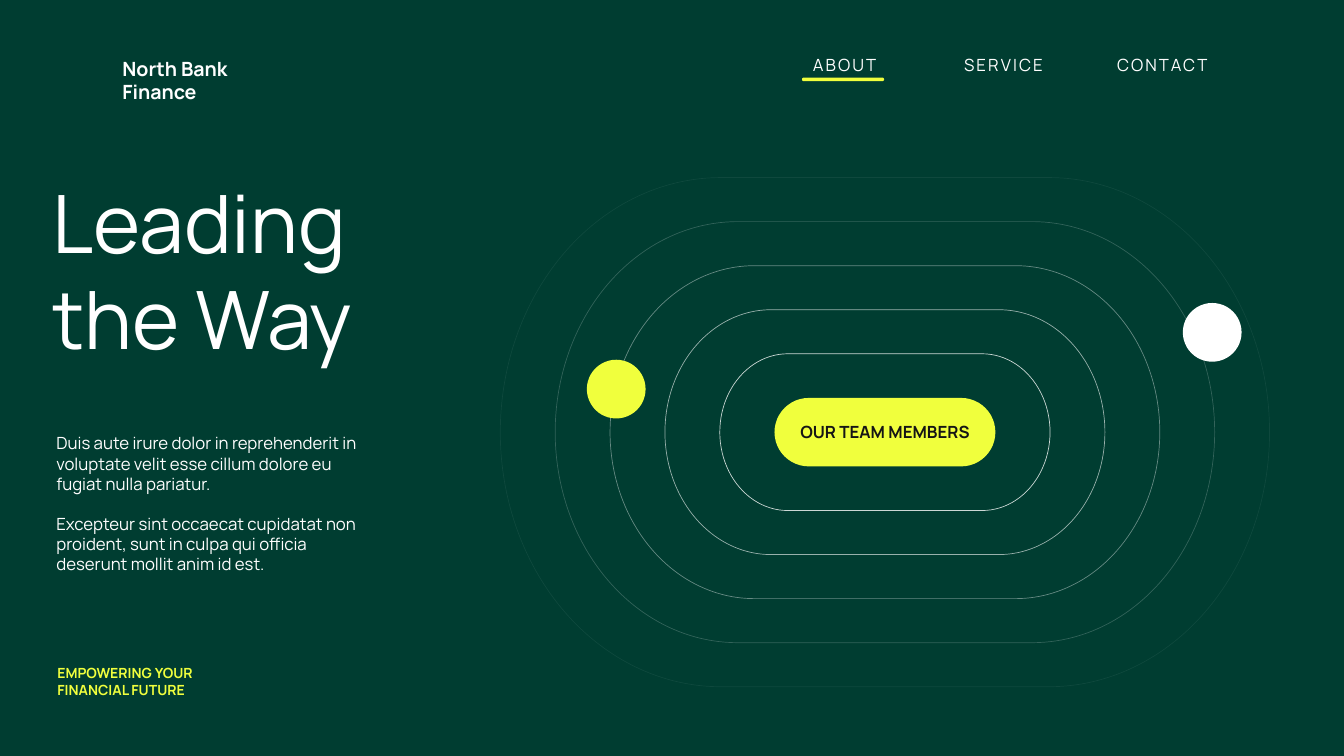
from dataclasses import dataclass

from lxml import etree
from pptx import Presentation
from pptx.dml.color import RGBColor
from pptx.enum import shapes, text
from pptx.oxml import ns
from pptx.util import Cm, Pt


@dataclass(frozen=True)
class Theme:
    """Colours, font and type sizes of the slide."""
    green: RGBColor = RGBColor(0x00, 0x3D, 0x31)
    lime: RGBColor = RGBColor(0xF0, 0xFF, 0x3D)
    white: RGBColor = RGBColor(0xFF, 0xFF, 0xFF)
    ink: RGBColor = RGBColor(0x15, 0x15, 0x15)
    font: str = "Manrope"
    title: int = 115
    brand: int = 28
    body: int = 24
    tagline: int = 20


THEME = Theme()


def write(shape, lines, size, color, bold=False, align=text.PP_ALIGN.LEFT,
          anchor=text.MSO_ANCHOR.TOP, gap=0):
    """Fill a shape with one formatted paragraph per line."""
    frame = shape.text_frame
    frame.word_wrap = True
    frame.auto_size = text.MSO_AUTO_SIZE.NONE
    frame.vertical_anchor = anchor
    frame.text = "\n".join(lines)
    for index, paragraph in enumerate(frame.paragraphs):
        paragraph.alignment = align
        paragraph.space_before = Pt(gap if index else 0)
        font = paragraph.font
        font.name, font.size, font.bold = THEME.font, Pt(size), bold
        font.color.rgb = color


def add_text(slide, box, lines, size, color, **options):
    """Add a text box at a box given in centimetres."""
    shape = slide.shapes.add_textbox(*map(Cm, box))
    write(shape, lines, size, color, **options)
    return shape


def add_solid(slide, kind, box, color):
    """Add a flat preset shape without outline."""
    shape = slide.shapes.add_shape(kind, *map(Cm, box))
    shape.shadow.inherit = False
    shape.fill.solid()
    shape.fill.fore_color.rgb = color
    shape.line.fill.background()
    return shape


def add_pill(slide, box, color):
    """Add a fully rounded bar."""
    shape = add_solid(slide, shapes.MSO_SHAPE.ROUNDED_RECTANGLE, box, color)
    shape.adjustments[0] = 0.5
    return shape


def add_ring(slide, center, width, height, opacity):
    """Draw a translucent outline with elliptical corners around a center."""
    x, y = center
    radius_x, radius_y = 0.433 * height, height / 2
    straight = width / 2 - radius_x
    start = Cm(x - width / 2), Cm(y)
    corners = [(x - straight, y - radius_y), (x + straight, y - radius_y),
               (x + width / 2, y), (x + straight, y + radius_y),
               (x - straight, y + radius_y)]
    builder = slide.shapes.build_freeform(*start)
    builder.add_line_segments([(Cm(a), Cm(b)) for a, b in corners] + [start], close=True)
    ring = builder.convert_to_shape()
    ring.shadow.inherit = False
    ring.fill.background()
    ring.line.width = Pt(1)
    ring.line.color.rgb = THEME.white
    color = ring.line._ln.find(".//" + ns.qn("a:srgbClr"))
    etree.SubElement(color, ns.qn("a:alpha"), val=str(opacity * 1000))
    segments = list(ring._element.iter(ns.qn("a:lnTo")))
    for index, degrees in ((0, 180), (2, 270), (3, 0), (5, 90)):
        arc = etree.Element(ns.qn("a:arcTo"), wR=str(Cm(radius_x)), hR=str(Cm(radius_y)),
                            stAng=str(degrees * 60000), swAng=str(90 * 60000))
        segments[index].getparent().replace(segments[index], arc)


def add_diagram(slide, box):
    """Place the rings, the badges and the central button in a box."""
    left, top, width, height = box
    center = left + width / 2, top + height / 2
    for index, opacity in enumerate((80, 60, 40, 20, 5)):
        add_ring(slide, center, 16.64 + 5.53 * index, 7.9 + 4.44 * index, opacity)
    badge = 2.96
    for x, y, color in ((34.39, 6.32, THEME.white), (4.36, 9.18, THEME.lime)):
        add_solid(slide, shapes.MSO_SHAPE.OVAL, (left + x, top + y, badge, badge), color)
    button_width, button_height = 11.13, 3.45
    button = add_pill(slide, (center[0] - button_width / 2, center[1] - button_height / 2,
                              button_width, button_height), THEME.lime)
    write(button, ["OUR TEAM MEMBERS"], THEME.body, THEME.ink, bold=True,
          align=text.PP_ALIGN.CENTER, anchor=text.MSO_ANCHOR.MIDDLE)


def add_navigation(slide, box):
    """Place evenly spaced menu entries and underline the first."""
    left, top, width, height = box
    entries = "ABOUT", "SERVICE", "CONTACT"
    pitch = width / len(entries)
    for index, entry in enumerate(entries):
        shape = add_text(slide, (left + index * pitch, top, pitch, height), [entry],
                         THEME.body, THEME.white, align=text.PP_ALIGN.CENTER)
        shape.text_frame.paragraphs[0].runs[0].font._element.set("spc", "300")
    add_pill(slide, (left + 1.85, top + height + 0.02, 4.14, 0.18), THEME.lime)


def add_story(slide, box):
    """Place the title, body text and tagline in the left column."""
    left, top, width, height = box
    title = slide.shapes.title
    title.left, title.top, title.width, title.height = map(Cm, (left, top, 31, 10.08))
    write(title, ["Leading", "the Way"], THEME.title, THEME.white)
    add_text(slide, (left + 0.21, top + 13.13, width, 7.44), [
        "Duis aute irure dolor in reprehenderit in voluptate velit esse cillum "
        "dolore eu fugiat nulla pariatur.",
        "Excepteur sint occaecat cupidatat non proident, sunt in culpa qui officia "
        "deserunt mollit anim id est.",
    ], THEME.body, THEME.white, gap=28.8)
    add_text(slide, (left + 0.26, top + height - 1.96, 9.73, 1.96),
             ["EMPOWERING YOUR FINANCIAL FUTURE"], THEME.tagline, THEME.lime, bold=True)


def main():
    """Build and save the presentation."""
    presentation = Presentation()
    presentation.slide_width, presentation.slide_height = Cm(67.72), Cm(38.1)
    slide = presentation.slides.add_slide(presentation.slide_layouts[5])
    slide.background.fill.solid()
    slide.background.fill.fore_color.rgb = THEME.green
    add_diagram(slide, (25.21, 8.95, 38.76, 25.66))
    add_story(slide, (2.38, 8.57, 16.48, 26.74))
    add_text(slide, (5.92, 2.74, 7.8, 2.64), ["North Bank", "Finance"],
             THEME.brand, THEME.white, bold=True)
    add_navigation(slide, (38.56, 2.62, 24, 1.27))
    presentation.save("out.pptx")


if __name__ == "__main__":
    main()
